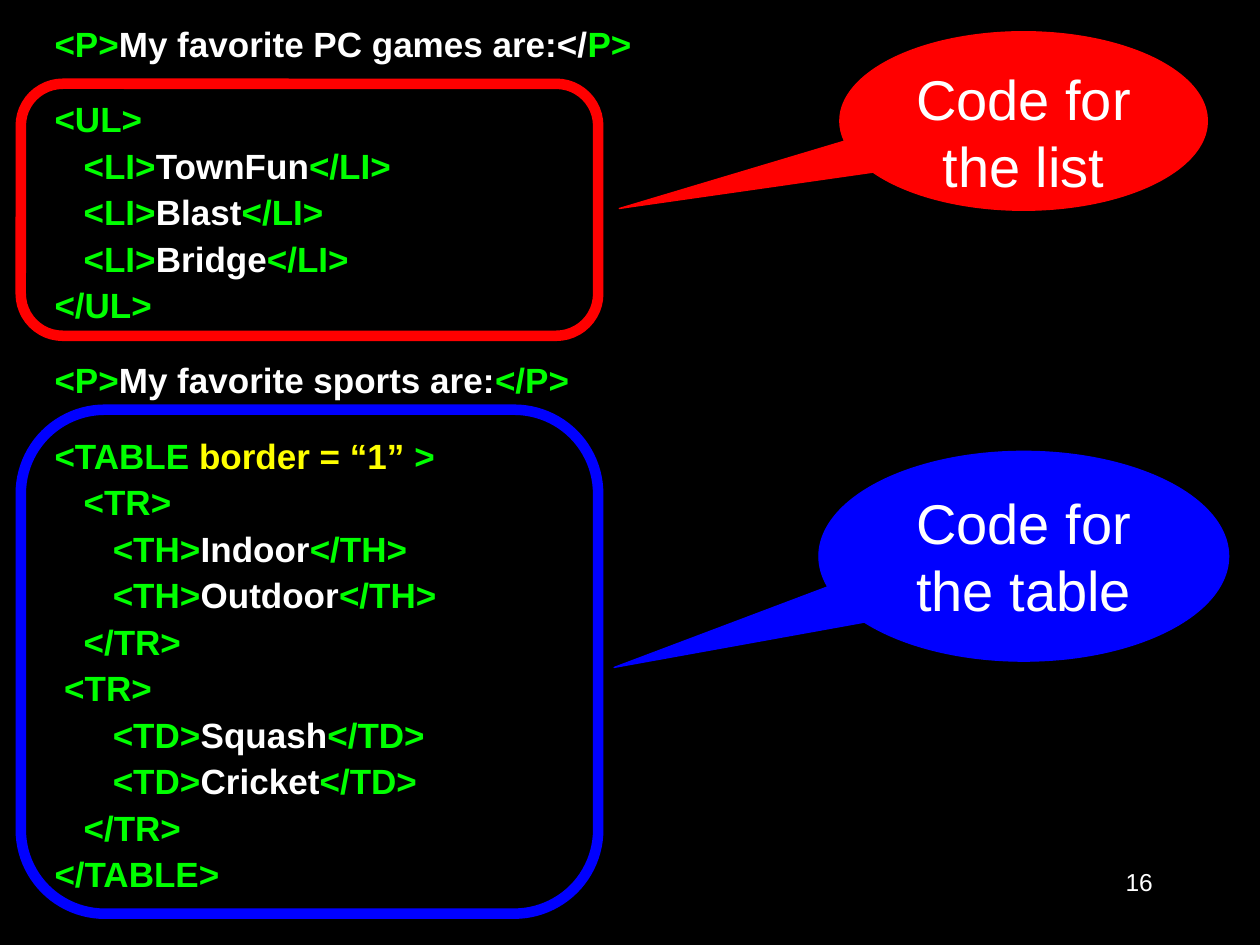
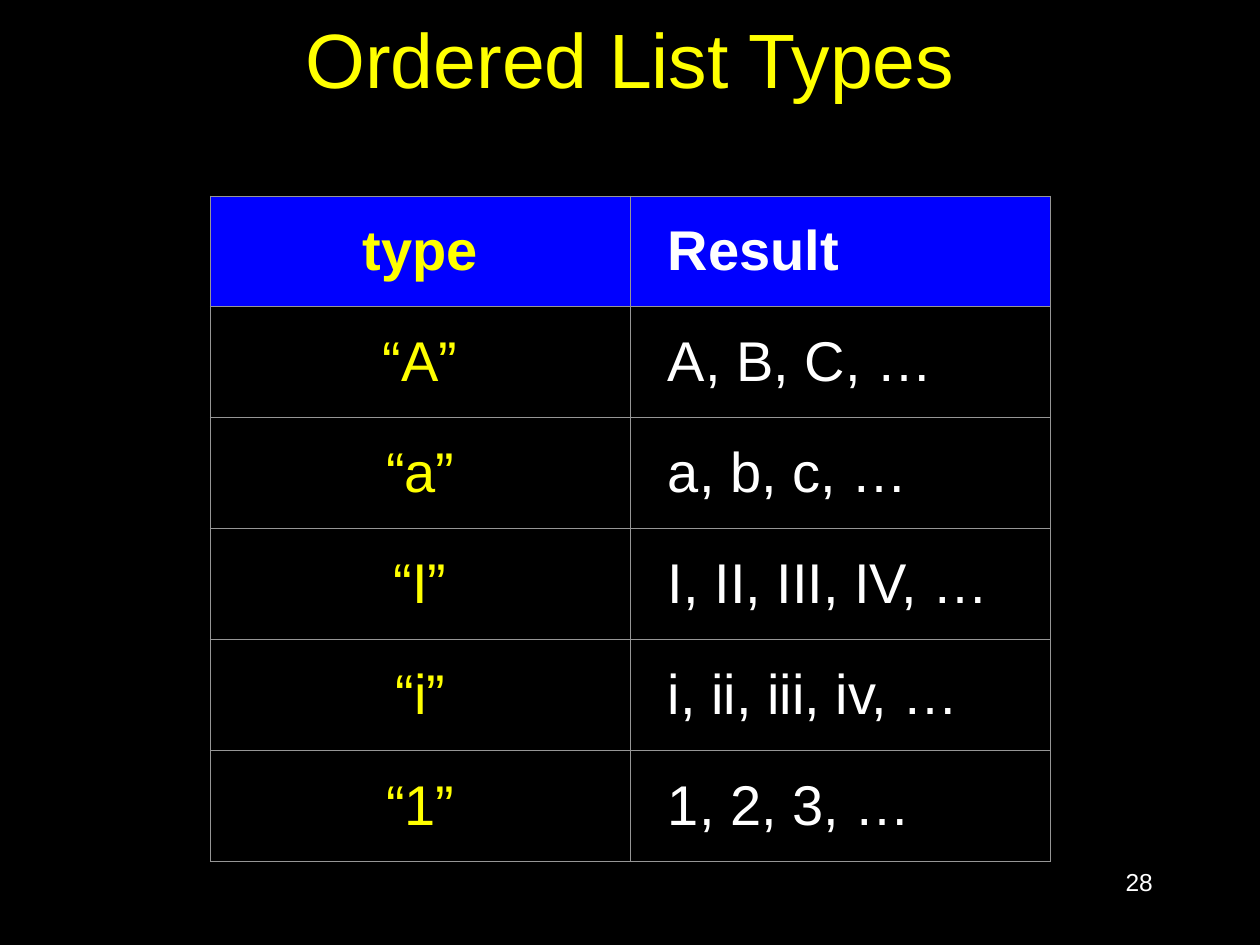
"""Build two slides on HTML lists and tables."""
import pptx
import pptx.dml.color
import pptx.enum.shapes
import pptx.enum.text
import pptx.oxml
import pptx.util
from lxml import etree

RGBColor = pptx.dml.color.RGBColor
Cm = pptx.util.Cm
Pt = pptx.util.Pt
ALIGN = pptx.enum.text.PP_ALIGN
ANCHOR = pptx.enum.text.MSO_ANCHOR
SHAPE = pptx.enum.shapes.MSO_SHAPE

BLACK = RGBColor(0, 0, 0)
WHITE = RGBColor(255, 255, 255)
GREEN = RGBColor(0, 255, 0)
YELLOW = RGBColor(255, 255, 0)
RED = RGBColor(255, 0, 0)
BLUE = RGBColor(0, 0, 255)
GREY = RGBColor(0x96, 0x96, 0x96)

FONT = "Arial"
PAGE_NUMBER_BOX = (18.2, 17.36, 5.29, 1.27)
LINE_GAP = Pt(5)
SECTION_GAP = Pt(21.4)


def tagged(tag, content, indent=0):
    """Return the coloured pieces of one element on a line."""
    return [(" " * indent + f"<{tag}>", GREEN), (content, WHITE), (f"</{tag}>", GREEN)]


def tag_line(tag, indent=0):
    """Return a line holding a single tag."""
    return [(" " * indent + f"<{tag}>", GREEN)]


CODE_SECTIONS = [
    [[("<P>", GREEN), ("My favorite PC games are:</", WHITE), ("P>", GREEN)]],
    [
        tag_line("UL"),
        *[tagged("LI", game, 3) for game in ("TownFun", "Blast", "Bridge")],
        tag_line("/UL"),
    ],
    [tagged("P", "My favorite sports are:")],
    [
        [("<TABLE ", GREEN), ("border = “1”", YELLOW), (" >", GREEN)],
        tag_line("TR", 3),
        *[tagged("TH", heading, 6) for heading in ("Indoor", "Outdoor")],
        tag_line("/TR", 3),
        tag_line("TR", 1),
        *[tagged("TD", sport, 6) for sport in ("Squash", "Cricket")],
        tag_line("/TR", 3),
        tag_line("/TABLE"),
    ],
]

LIST_TYPES = [
    ("type", "Result"),
    ("“A”", "A, B, C, …"),
    ("“a”", "a, b, c, …"),
    ("“I”", "I, II, III, IV, …"),
    ("“i”", "i, ii, iii, iv, …"),
    ("“1”", "1, 2, 3, …"),
]


def lengths(box):
    """Convert a box in centimetres to slide lengths."""
    return [Cm(value) for value in box]


def style(font, size, color, bold=False):
    """Apply the shared typeface with a size and colour."""
    font.name, font.size, font.bold = FONT, Pt(size), bold
    font.color.rgb = color


def write(frame, text, size, color, align, bold=False):
    """Fill a text frame with one styled paragraph."""
    frame.word_wrap = True
    frame.text = text
    paragraph = frame.paragraphs[0]
    paragraph.alignment = align
    style(paragraph.runs[0].font, size, color, bold)


def add_slide(deck, number):
    """Add a black slide with its page number."""
    slide = deck.slides.add_slide(deck.slide_layouts[6])
    slide.background.fill.solid()
    slide.background.fill.fore_color.rgb = BLACK
    page_number = slide.shapes.add_textbox(*lengths(PAGE_NUMBER_BOX))
    write(page_number.text_frame, str(number), 14, WHITE, ALIGN.RIGHT)
    return slide


def add_title(slide, text, box):
    """Add a centred yellow title."""
    title = slide.shapes.add_textbox(*lengths(box)).text_frame
    title.vertical_anchor = ANCHOR.MIDDLE
    write(title, text, 44, YELLOW, ALIGN.CENTER)


def add_code(slide, sections, box):
    """Add the coloured listing with a gap between sections."""
    listing = slide.shapes.add_textbox(*lengths(box)).text_frame
    listing.word_wrap = True
    for section_index, section in enumerate(sections):
        for line_index, line in enumerate(section):
            if section_index == line_index == 0:
                paragraph = listing.paragraphs[0]
            else:
                paragraph = listing.add_paragraph()
                paragraph.space_before = LINE_GAP if line_index else SECTION_GAP
            paragraph.line_spacing = 0.9
            for text, color in line:
                run = paragraph.add_run()
                run.text = text
                style(run.font, 20, color, bold=True)


def add_callout(slide, text, color, box, pointer):
    """Add a filled speech bubble whose tip lies at the pointer."""
    callout = slide.shapes.add_shape(SHAPE.OVAL_CALLOUT, *lengths(box))
    callout.adjustments[0], callout.adjustments[1] = pointer
    callout.shadow.inherit = False
    callout.fill.solid()
    callout.fill.fore_color.rgb = color
    callout.line.color.rgb = color
    callout.line.width = Pt(0.75)
    callout.text_frame.vertical_anchor = ANCHOR.TOP
    write(callout.text_frame, text, 32, WHITE, ALIGN.CENTER)


def add_code_frame(slide, color, box):
    """Outline a part of the listing."""
    outline = slide.shapes.add_shape(SHAPE.ROUNDED_RECTANGLE, *lengths(box))
    outline.shadow.inherit = False
    outline.fill.background()
    outline.line.color.rgb = color
    outline.line.width = Pt(6)


def add_borders(cell):
    """Draw a thin grey line on every side of a cell."""
    properties = cell._tc.get_or_add_tcPr()
    for index, side in enumerate(("lnL", "lnR", "lnT", "lnB")):
        border = etree.fromstring(
            f'<a:{side} xmlns:a="http://schemas.openxmlformats.org/drawingml/2006/main"'
            f' w="{Pt(0.45)}"><a:solidFill><a:srgbClr val="{GREY}"/></a:solidFill></a:{side}>',
            pptx.oxml.oxml_parser,
        )
        properties.insert(index, border)


def add_type_table(slide, rows, box):
    """Add the two-column table with a blue heading row."""
    left, top, width, height = lengths(box)
    table = slide.shapes.add_table(len(rows), 2, left, top, width, height).table
    for row_index, row in enumerate(rows):
        heading = row_index == 0
        for column, text in enumerate(row):
            cell = table.cell(row_index, column)
            cell.margin_left = cell.margin_right = Cm(0.76)
            cell.vertical_anchor = ANCHOR.MIDDLE
            if heading:
                cell.fill.solid()
                cell.fill.fore_color.rgb = BLUE
            else:
                cell.fill.background()
            color, align = [(YELLOW, ALIGN.CENTER), (WHITE, ALIGN.LEFT)][column]
            write(cell.text_frame, text, 32, color, align, heading)
            add_borders(cell)


def build_code_slide(deck):
    """Show the page code with its list and table marked."""
    slide = add_slide(deck, 16)
    add_code(slide, CODE_SECTIONS, (0.85, 0.42, 13.12, 18.42))
    add_callout(slide, "Code for the list", RED, (16.93, 0.64, 7.41, 3.6), (-1.1, 0.49))
    add_callout(slide, "Code for the table", BLUE, (16.51, 9.1, 8.26, 4.23), (-1, 0.53))
    add_code_frame(slide, RED, (0.42, 1.69, 11.64, 5.08))
    add_code_frame(slide, BLUE, (0.42, 8.26, 11.64, 10.16))


def build_types_slide(deck):
    """Show the ordered list types and what each gives."""
    slide = add_slide(deck, 28)
    add_title(slide, "Ordered List Types", (1.91, -0.42, 21.59, 3.18))
    add_type_table(slide, LIST_TYPES, (4.24, 3.95, 16.93, 13.41))


def main():
    """Build and save the deck."""
    deck = pptx.Presentation()
    deck.slide_width, deck.slide_height = Cm(25.4), Cm(19.05)
    build_code_slide(deck)
    build_types_slide(deck)
    deck.save("out.pptx")


if __name__ == "__main__":
    main()
